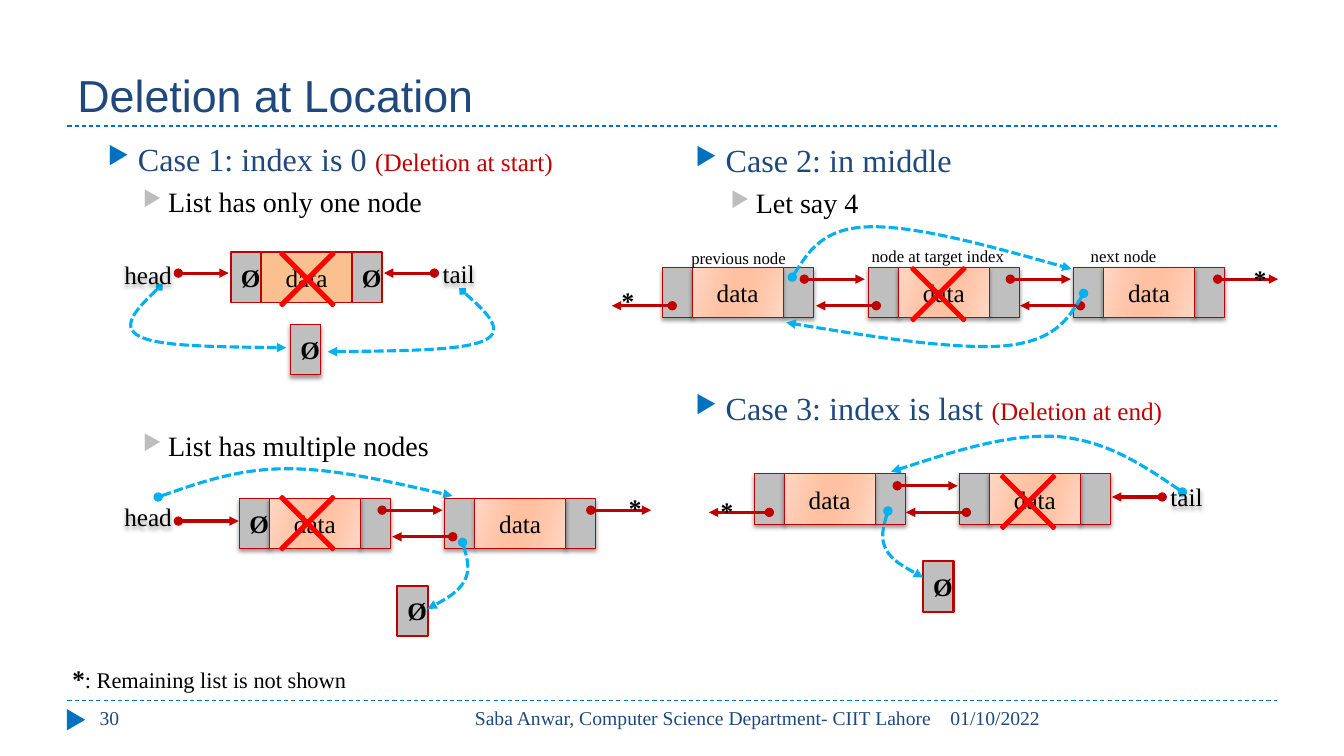
from dataclasses import dataclass

from lxml import etree
from pptx import Presentation
from pptx import util as u
from pptx.dml.color import RGBColor
from pptx.enum import dml, shapes, text
from pptx.oxml import ns

Pt = u.Pt
KIND = shapes.MSO_SHAPE
ALIGN = text.PP_ALIGN
ANCHOR = text.MSO_ANCHOR


@dataclass(frozen=True)
class Theme:
    serif: str = "Times New Roman"
    sans: str = "Arial"
    navy: str = "1F497D"
    blue: str = "0070C0"
    cyan: str = "00B0F0"
    red: str = "C00000"
    cross: str = "FF0000"
    gray: str = "BFBFBF"
    bullet: str = "BDBDBD"
    peach: str = "FAC090"
    black: str = "000000"
    title: float = 32
    head: float = 23
    sub: float = 20
    body: float = 18
    note: float = 16
    foot: float = 14
    label: float = 12


T = Theme()
GLOW = ((0, "FFD7C5"), (30, "FFC6AA"), (45, "FFC1A1"),
        (55, "FFC1A1"), (73, "FFC6AA"), (100, "FFD7C5"))
CELL, DATA, HIGH = 21.6, 64.8, 36


@dataclass(frozen=True)
class Run:
    words: str
    size: float = T.body
    color: str = T.black
    bold: bool = False
    font: str = T.serif


@dataclass(frozen=True)
class Label:
    x: float
    y: float
    w: float
    h: float
    runs: tuple[Run, ...]
    align: ALIGN = ALIGN.LEFT
    anchor: ANCHOR = ANCHOR.TOP
    wrap: bool = True
    shade: bool = False


@dataclass(frozen=True)
class Item:
    runs: tuple[Run, ...]
    level: int
    gap: float


@dataclass(frozen=True)
class Node:
    """back and ahead are the link starts, measured from the left edge; 0 means no link."""
    x: float
    y: float
    back: float = 0
    ahead: float = 0
    left: str = ""
    right: str = ""
    plain: bool = False


@dataclass(frozen=True)
class Curve:
    points: tuple[tuple[float, float], ...]
    head: str = "oval"


def child(parent, tag: str, **attrs: object):
    return etree.SubElement(parent, ns.qn(tag), {k: str(v) for k, v in attrs.items()})


def rgb(code: str) -> RGBColor:
    return RGBColor.from_string(code)


def write(para, runs: tuple[Run, ...]) -> None:
    for part in runs:
        run = para.add_run()
        run.text = part.words
        font = run.font
        font.name, font.size, font.bold = part.font, Pt(part.size), part.bold
        font.color.rgb = rgb(part.color)


def shade(shape) -> None:
    shape.shadow.inherit = False
    glow = child(shape.element.spPr.find(ns.qn("a:effectLst")), "a:outerShdw",
                 blurRad=Pt(3), dist=Pt(2), dir=5400000, algn="t", rotWithShape=0)
    child(child(glow, "a:srgbClr", val=T.black), "a:alpha", val=40000)


def stroke(shape, color: str, width: float, dash=None, ends: tuple[str, ...] = ()) -> None:
    shape.line.color.rgb = rgb(color)
    shape.line.width = Pt(width)
    if dash is not None:
        shape.line.dash_style = dash
    line = shape.element.spPr.find(ns.qn("a:ln"))
    for tag, end in zip(("a:headEnd", "a:tailEnd"), ends):
        child(line, tag, type=end)


def draw_label(slide, item: Label) -> None:
    box = slide.shapes.add_textbox(Pt(item.x), Pt(item.y), Pt(item.w), Pt(item.h))
    frame = box.text_frame
    frame.word_wrap, frame.vertical_anchor = item.wrap, item.anchor
    frame.paragraphs[0].alignment = item.align
    write(frame.paragraphs[0], item.runs)
    if item.shade:
        shade(box)


def draw_list(slide, x: float, y: float, w: float, items: tuple[Item, ...]) -> None:
    frame = slide.shapes.add_textbox(Pt(x), Pt(y), Pt(w), Pt(388.8)).text_frame
    frame.word_wrap = True
    for i, item in enumerate(items):
        para = frame.add_paragraph() if i else frame.paragraphs[0]
        margin, indent, color = ((43.2, -21.6, T.blue), (64.8, -18, T.bullet))[item.level]
        para.level = item.level
        para.space_before = Pt(item.gap)
        props = para._p.get_or_add_pPr()
        props.set("marL", str(Pt(margin)))
        props.set("indent", str(Pt(indent)))
        child(child(props, "a:buClr"), "a:srgbClr", val=color)
        child(props, "a:buSzPct", val=76000)
        child(props, "a:buChar", char="▶")
        write(para, item.runs)


def draw_line(slide, x: float, y: float, end: float, color: str, width: float,
              dash=None, ends: tuple[str, ...] = ()) -> None:
    line = slide.shapes.add_connector(shapes.MSO_CONNECTOR.STRAIGHT,
                                      Pt(x), Pt(y), Pt(end), Pt(y))
    stroke(line, color, width, dash, ends)
    child(line.element.spPr, "a:effectLst")


def draw_link(slide, x: float, y: float, step: float) -> None:
    draw_line(slide, x, y, x + step, T.red, 2.25, ends=("oval", "triangle"))


def draw_shape(slide, kind: KIND, x: float, y: float, w: float, h: float, fill: str):
    shape = slide.shapes.add_shape(kind, Pt(x), Pt(y), Pt(w), Pt(h))
    shape.shadow.inherit = False
    shape.fill.solid()
    shape.fill.fore_color.rgb = rgb(fill)
    shape.line.fill.background()
    return shape


def draw_cell(slide, x: float, y: float, w: float, fill: str, words: str = "",
              width: float = 0.75, soft: bool = True) -> None:
    """An empty fill gives the peach gradient; soft adds a shadow."""
    cell = draw_shape(slide, KIND.RECTANGLE, x, y, w, HIGH, fill or T.peach)
    if not fill:
        cell.fill.gradient()
        cell.fill.gradient_angle = 344
        stops = cell.element.spPr.find(ns.qn("a:gradFill")).find(ns.qn("a:gsLst"))
        for old in list(stops):
            stops.remove(old)
        for spot, color in GLOW:
            child(child(stops, "a:gs", pos=spot * 1000), "a:srgbClr", val=color)
    stroke(cell, T.red, width)
    if soft:
        shade(cell)
    if words:
        frame = cell.text_frame
        frame.word_wrap, frame.vertical_anchor = True, ANCHOR.MIDDLE
        frame.paragraphs[0].alignment = ALIGN.CENTER
        write(frame.paragraphs[0], (Run(words, bold=words == "Ø"),))


def draw_node(slide, node: Node) -> None:
    width, soft = (1, False) if node.plain else (0.75, True)
    draw_cell(slide, node.x, node.y, CELL, T.gray, node.left, width, soft)
    draw_cell(slide, node.x + CELL + DATA, node.y, CELL, T.gray, node.right, width, soft)
    draw_cell(slide, node.x + CELL, node.y, DATA, T.peach if node.plain else "", "data", width, soft)


def draw_curve(slide, curve: Curve) -> None:
    """Join the knots by lines, then bend each line into a cubic arc."""
    knots = [(Pt(x), Pt(y)) for x, y in curve.points]
    form = slide.shapes.build_freeform(*knots[0])
    form.add_line_segments(knots[3::3], close=False)
    shape = form.convert_to_shape()
    for k, line in enumerate(list(shape.element.iter(ns.qn("a:lnTo")))):
        arc = etree.Element(ns.qn("a:cubicBezTo"))
        for x, y in knots[3 * k + 1:3 * k + 4]:
            child(arc, "a:pt", x=x - shape.left, y=y - shape.top)
        line.getparent().replace(line, arc)
    shape.shadow.inherit = False
    shape.fill.background()
    stroke(shape, T.cyan, 2.25, dml.MSO_LINE.SQUARE_DOT, (curve.head, "triangle"))


LEFT = (Item((Run("Case 1: index is 0 ", T.head, T.navy), Run("(Deletion at start)", T.body, T.red)), 0, 0),
        Item((Run("List has only one node", T.sub),), 1, 5),
        Item((Run("List has multiple nodes", T.sub),), 1, 150))
RIGHT = (Item((Run("Case 2: in middle", T.head, T.navy),), 0, 0),
         Item((Run("Let say 4", T.sub),), 1, 5),
         Item((Run("Case 3: index is last ", T.head, T.navy), Run("(Deletion at end)", T.body, T.red)), 0, 121))
NODES = (Node(165, 180, left="Ø", right="Ø", plain=True),
         Node(171, 355.8, ahead=101.9, left="Ø"), Node(317.6, 355.8, 5.8, 104.4),
         Node(473, 190.8, 7.2, 101.5), Node(620.2, 190.8, 5.8, 101.5), Node(766.8, 190.8, 5, 103),
         Node(538.7, 338.4, 10.8, 102.2), Node(685.3, 338.4, 5))
ENDS = ((127.4, 195.1, 36), (310.3, 195.1, -36), (127.4, 372.2, 43.2), (830.2, 355, -36))
NULLS = ((207.4, 231.8, 0.75), (283.9, 418.4, 1.5), (659.5, 401, 1.5))
MARKS = ((183.6, 163.4), (183.6, 337.7), (634.3, 174.2), (698.4, 322.6))
CURVES = (
    Curve(((113.8, 205.2), (99.4, 218.9), (85, 233.3), (100.1, 240.5),
           (114.5, 247.7), (159.8, 247.7), (204.5, 248.4)), "diamond"),
    Curve(((330.5, 208.1), (346.3, 221.8), (361.4, 236.2), (345.6, 243.4),
           (329.8, 250.6), (281.5, 250.6), (234, 251.3)), "diamond"),
    Curve(((330.5, 387.4), (333.4, 397.4), (336.2, 406.8), (331.9, 414.7),
           (327.6, 422.6), (316.8, 429.1), (305.3, 434.9))),
    Curve(((113, 355), (141.8, 344.9), (170.6, 334.8), (205.2, 334.8),
           (240.5, 334.8), (281.5, 344.9), (323.3, 354.2))),
    Curve(((565.9, 198), (576.7, 180.7), (588.2, 162.7), (621.4, 162),
           (654.5, 161.3), (709.9, 176.4), (765.4, 192.2))),
    Curve(((774, 209.5), (763.9, 226.8), (753.1, 243.4), (717.8, 247),
           (682.6, 249.8), (622.1, 240.5), (561.6, 230.4))),
    Curve(((634.3, 365), (631.4, 374.4), (628.6, 384.5), (632.9, 392.4),
           (637.2, 400.3), (648, 406.1), (659.5, 412.6))),
    Curve(((844.6, 351.4), (817.2, 332.6), (789.8, 314.6), (755.3, 311.8),
           (720.7, 309.6), (678.2, 323.3), (636.5, 337))))
STAR = Run("*", bold=True)
LABELS = (
    Label(48.2, 12.2, 864, 77.8, (Run("Deletion at Location", T.title, T.navy, font=T.sans),), anchor=ANCHOR.BOTTOM),
    Label(44.6, 470.2, 213, 28.8, (STAR, Run(": Remaining list is not shown", T.note)), wrap=False),
    *(Label(x, 500.4, w, 28.8, (Run(words, T.foot, T.navy),), align) for x, w, words, align in (
        (64.1, 208, "30", ALIGN.LEFT), (671.8, 240.5, "01/10/2022", ALIGN.LEFT),
        (304.6, 367.9, "Saba Anwar, Computer Science Department- CIIT Lahore", ALIGN.RIGHT))),
    *(Label(x, y, 50.4, 21.6, (Run(words),), ALIGN.CENTER, ANCHOR.MIDDLE, shade=True) for x, y, words in (
        (80.6, 185, "head"), (80.6, 358.2, "head"), (302.4, 184.3, "tail"), (822.4, 343.8, "tail"))),
    *(Label(x, y, w, 22.3, (Run(words, T.label),), ALIGN.CENTER, ANCHOR.MIDDLE) for x, y, w, words in (
        (477.2, 173.2, 100.8, "previous node"), (612.4, 171.4, 115.2, "node at target index"),
        (752.2, 171.4, 100.8, "next node"))),
    *(Label(x, y, 23.8, 28.8, (STAR,), wrap=False) for x, y in (
        (437, 200.2), (888.5, 184.3), (442.1, 348.2), (507.6, 350.6))))


def main() -> None:
    deck = Presentation()
    deck.slide_width, deck.slide_height = Pt(960), Pt(540)
    slide = deck.slides.add_slide(deck.slide_layouts[6])
    for y in (90, 500.4):
        draw_line(slide, 48.2, y, 912.2, T.blue, 0.75, dml.MSO_LINE.DASH)
    draw_shape(slide, KIND.ISOSCELES_TRIANGLE, 46.8, 507.6, 15.1, 13, T.blue).rotation = 90
    draw_list(slide, 48.2, 95.8, 420.5, LEFT)
    draw_list(slide, 468, 96.5, 444.2, RIGHT)
    for node in NODES:
        draw_node(slide, node)
    for x, y, width in NULLS:
        draw_cell(slide, x, y, CELL, T.gray, "Ø", width, width < 1)
    for node in NODES:
        if node.back:
            draw_link(slide, node.x + node.back, node.y + 27.6, -43.2)
        if node.ahead:
            draw_link(slide, node.x + node.ahead, node.y + 8.6, 43.2)
    for x, y, step in ENDS:
        draw_link(slide, x, y, step)
    for curve in CURVES:
        draw_curve(slide, curve)
    for x, y in MARKS:
        mark = draw_shape(slide, KIND.MATH_MULTIPLY, x, y, 72, 72, T.cross)
        mark.adjustments[0] = 0.029
        stroke(mark, T.cross, 1.5)
    for item in LABELS:
        draw_label(slide, item)
    deck.save("out.pptx")


if __name__ == "__main__":
    main()
